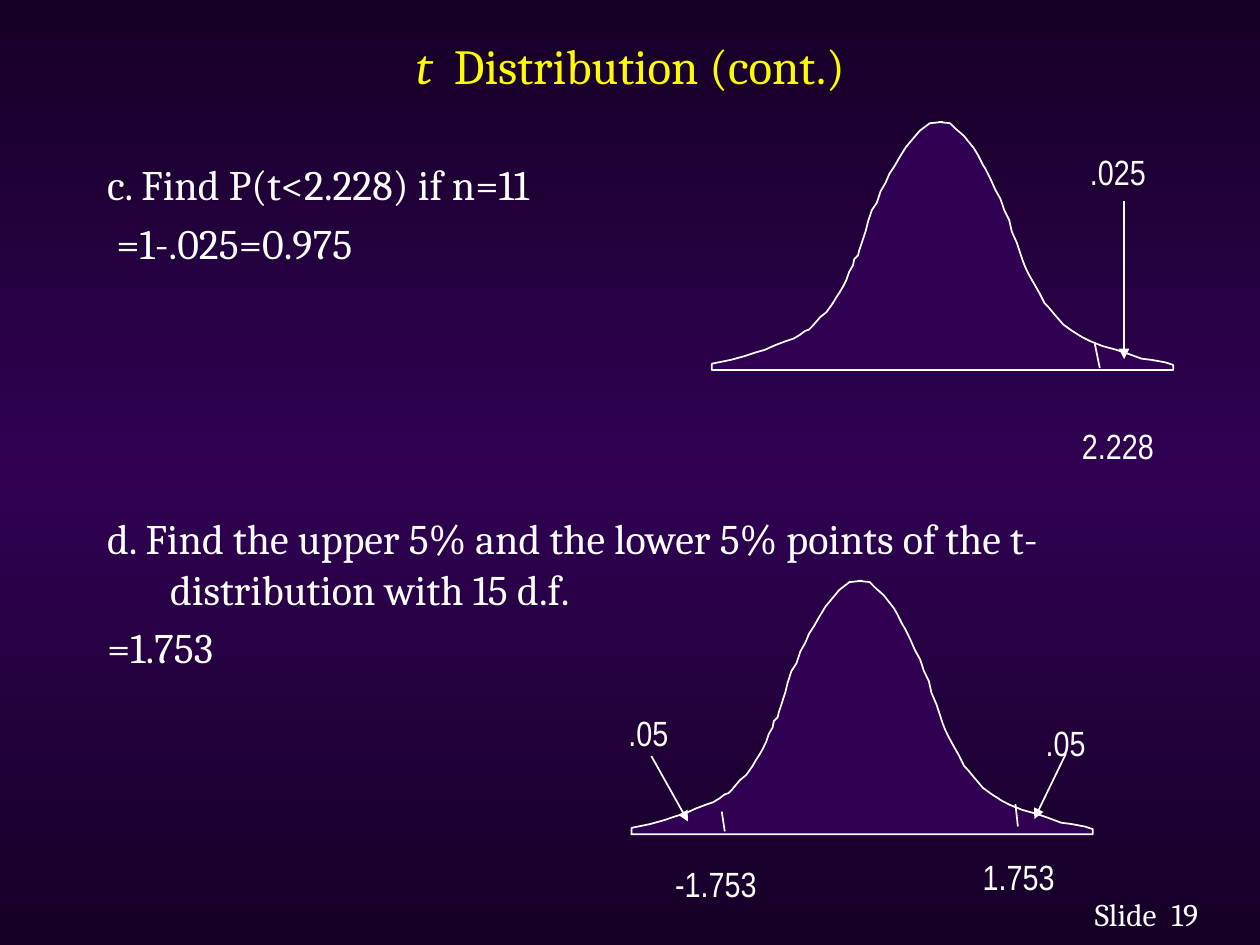
"""Build the slide on t distribution probabilities with two shaded density curves."""
from copy import deepcopy

from lxml.etree import SubElement
from pptx import Presentation
from pptx.dml.color import RGBColor
from pptx.enum.shapes import MSO_CONNECTOR as Connector
from pptx.enum.text import MSO_ANCHOR as Anchor, PP_ALIGN as Align
from pptx.oxml.ns import qn
from pptx.util import Cm, Pt

DARK = RGBColor(0x16, 0x00, 0x26)
PURPLE = RGBColor(0x30, 0x01, 0x53)
YELLOW = RGBColor(0xFA, 0xFD, 0x00)
WHITE = RGBColor(0xFF, 0xFF, 0xFF)
SERIF = "Cambria"
NARROW = "Arial Narrow"

CURVE_WIDTH = 366
CURVE_HEIGHT = 197
CURVE_POINTS = [
    (183, 0), (173, 1), (165, 7), (159, 14), (154, 20), (149, 28), (145, 35), (141, 41),
    (138, 48), (134, 55), (131, 64), (127, 70), (124, 79), (122, 87), (119, 96), (117, 102),
    (116, 106), (113, 109), (112, 114), (109, 119), (107, 125), (104, 131), (101, 136),
    (99, 139), (96, 144), (91, 151), (86, 155), (80, 162), (77, 165), (74, 166), (70, 169),
    (65, 172), (59, 174), (51, 177), (42, 181), (35, 183), (26, 186), (15, 189), (5, 191),
    (0, 192), (0, CURVE_HEIGHT), (CURVE_WIDTH, CURVE_HEIGHT), (366, 193), (360, 191),
    (349, 189), (341, 188), (330, 184), (321, 181), (310, 178), (300, 174), (294, 171),
    (286, 166), (279, 161), (272, 153), (267, 147), (264, 144), (260, 136), (256, 129),
    (252, 122), (249, 116), (247, 111), (245, 105), (242, 96), (238, 87), (236, 78),
    (232, 70), (229, 61), (225, 54), (221, 45), (217, 37), (215, 34), (211, 26), (208, 21),
    (204, 16), (200, 11), (193, 5), (189, 1), (180, 0),
]

presentation = Presentation()
presentation.slide_width = Cm(25.4)
presentation.slide_height = Cm(19.05)
slide = presentation.slides.add_slide(presentation.slide_layouts[6])


def add_text_box(left, top, width, height, wrap=False):
    shape = slide.shapes.add_textbox(Cm(left), Cm(top), Cm(width), Cm(height))
    shape.text_frame.word_wrap = wrap
    return shape


def add_run(paragraph, text, font_name, size, color=WHITE, italic=False):
    run = paragraph.add_run()
    run.text = text
    run.font.name = font_name
    run.font.size = Pt(size)
    run.font.color.rgb = color
    run.font.italic = italic


background = slide.background.fill
background.gradient()
background.gradient_angle = 90
stop_list = slide.element.find(".//" + qn("a:gsLst"))
stop_list.append(deepcopy(stop_list[0]))
for stop, position, color in zip(background.gradient_stops, (0, 0.5, 1), (DARK, PURPLE, DARK)):
    stop.position = position
    stop.color.rgb = color

for text, left, width in (("19", 23.37, 1.1), ("Slide", 21.82, 2.31)):
    shape = add_text_box(left, 17.91, width, 1.02)
    add_run(shape.text_frame.paragraphs[0], text, SERIF, 18)

title = add_text_box(1.91, 0.18, 21.59, 2.26, wrap=True)
title.text_frame.vertical_anchor = Anchor.MIDDLE
paragraph = title.text_frame.paragraphs[0]
paragraph.alignment = Align.CENTER
add_run(paragraph, "t", SERIF, 28, YELLOW, italic=True)
add_run(paragraph, "  Distribution (cont.)", SERIF, 28, YELLOW)

body = add_text_box(1.91, 3.07, 21.59, 15.98, wrap=True)
body_lines = [
    ("c. Find P(t<2.228) if n=11", 4.8),
    (" =1-.025=0.975", 4.8),
    ("d. Find the upper 5% and the lower 5% points of the t-distribution with 15 d.f.", 140),
    ("=1.753", 4.8),
]
for index, (text, space_before) in enumerate(body_lines):
    paragraph = body.text_frame.add_paragraph() if index else body.text_frame.paragraphs[0]
    paragraph.space_before = Pt(space_before)
    add_run(paragraph, text, SERIF, 24)
for properties in body.element.iter(qn("a:pPr")):
    properties.set("marL", str(Cm(1.27)))
    properties.set("indent", str(-Cm(1.27)))

for left, top, height in ((14.35, 2.46, 5), (12.73, 11.71, 5.11)):
    scale = (Cm(9.3) / CURVE_WIDTH, Cm(height) / CURVE_HEIGHT)
    builder = slide.shapes.build_freeform(*CURVE_POINTS[0], scale=scale)
    builder.add_line_segments(CURVE_POINTS[1:], close=True)
    curve = builder.convert_to_shape(Cm(left), Cm(top))
    curve.shadow.inherit = False
    curve.fill.solid()
    curve.fill.fore_color.rgb = PURPLE
    curve.line.color.rgb = WHITE
    curve.line.width = Pt(1)

labels = [
    ("2.228", 21.56, 8.43, 1.96),
    (".025", 21.72, 2.9, 1.63),
    (".05", 20.83, 14.43, 1.32),
    (".05", 12.42, 14.22, 1.32),
    ("1.753", 19.56, 17.12, 1.96),
    ("-1.753", 13.36, 17.27, 2.16),
]
for text, left, top, width in labels:
    shape = add_text_box(left, top, width, 1.09)
    add_run(shape.text_frame.paragraphs[0], text, NARROW, 20)

cutoffs = [
    (22.07, 6.93, 22.17, 7.42),
    (20.47, 16.21, 20.52, 16.66),
    (14.55, 16.36, 14.61, 16.76),
]
arrows = [
    (22.66, 4.06, 22.66, 7.24),
    (13.13, 15.24, 13.87, 16.56),
    (21.49, 15.19, 20.85, 16.51),
]
for ends in cutoffs + arrows:
    connector = slide.shapes.add_connector(Connector.STRAIGHT, *map(Cm, ends))
    connector.line.color.rgb = WHITE
    connector.line.width = Pt(1)
    properties = connector.element.spPr
    if ends in arrows:
        SubElement(properties.find(qn("a:ln")), qn("a:tailEnd"), type="triangle")
    SubElement(properties, qn("a:effectLst"))

presentation.save("out.pptx")
